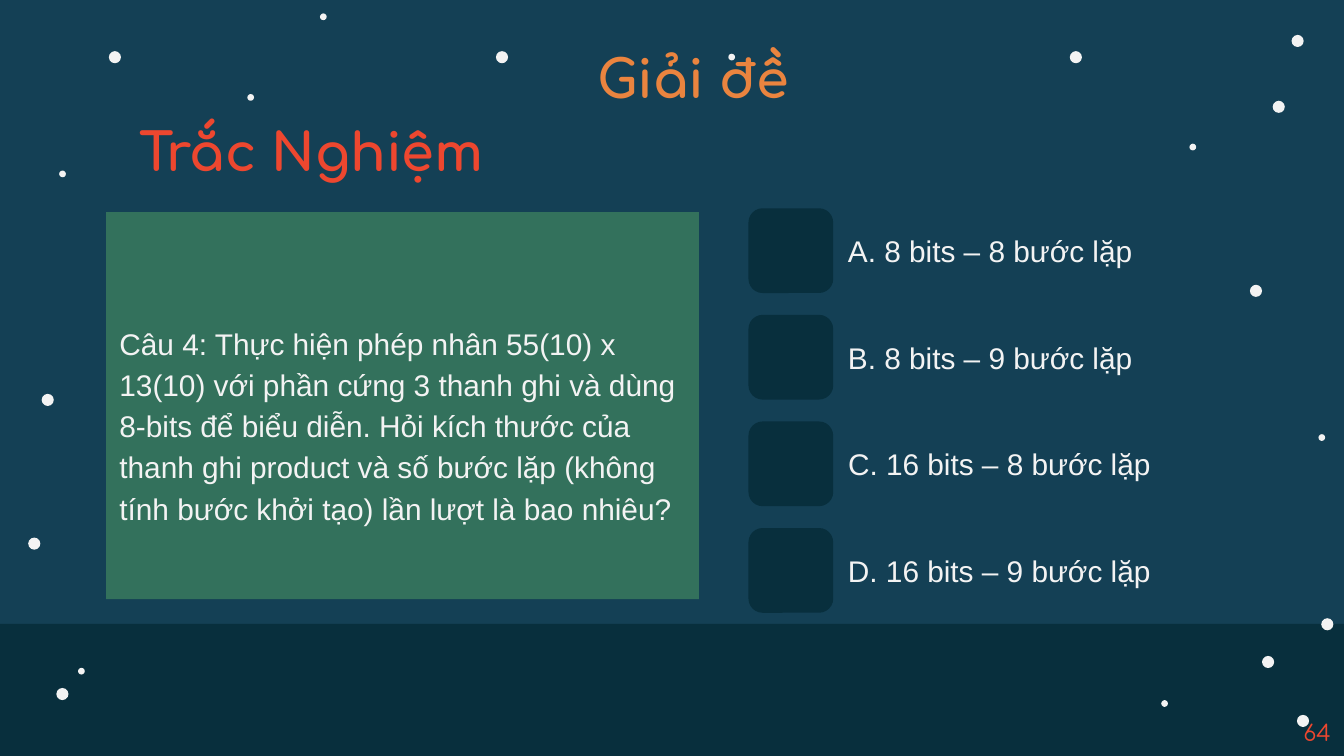
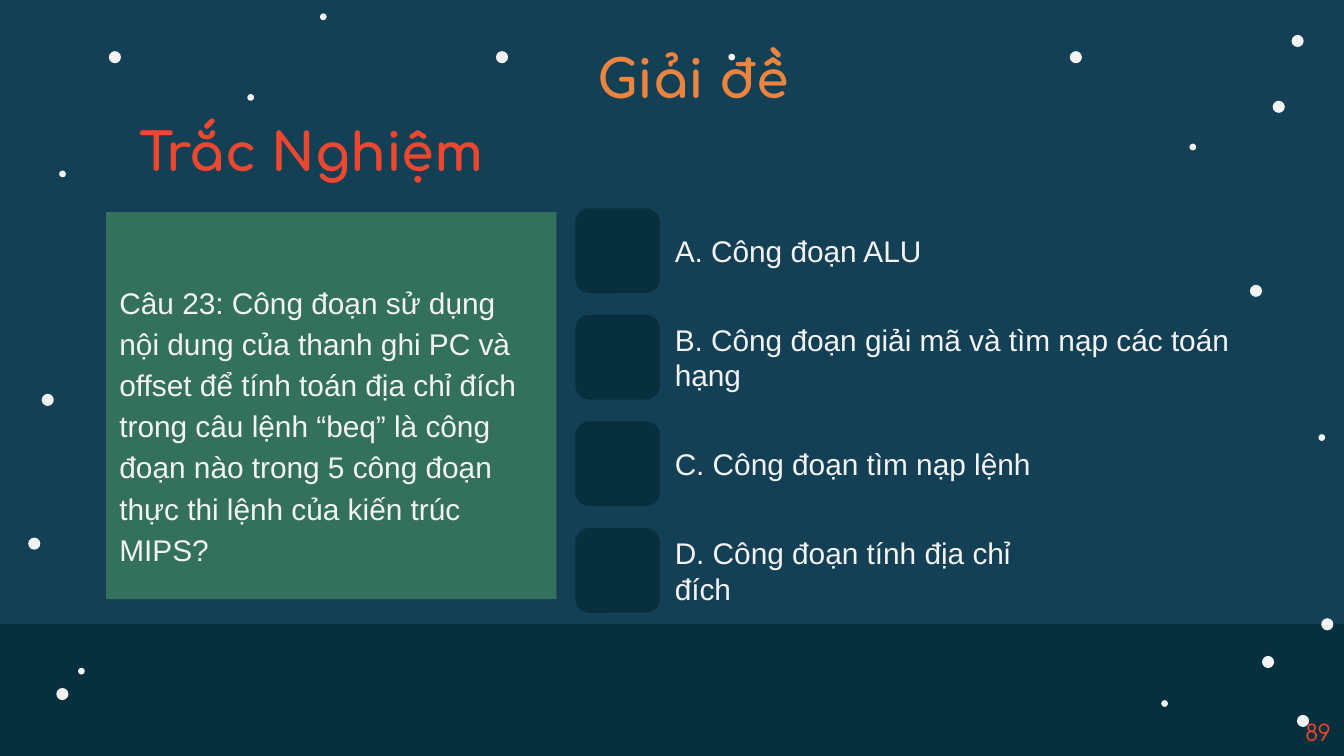
"""Build two quiz slides with a starry night background."""
from pptx import Presentation
from pptx import util as u
from pptx.dml import color
from pptx.enum import shapes, text

Pt = u.Pt
COLORS = {
    "night": "144055",
    "ground": "082F3D",
    "star": "F3F3F3",
    "board": "33715C",
    "orange": "EA843F",
    "red": "ED472F",
}
BIG_STARS = [
    (58.3, 27.4), (669.6, 152.6), (573.1, 27.4), (691.9, 18.7),
    (265.7, 27.4), (694.8, 383), (22.3, 211), (681.8, 54),
    (676.1, 351.4), (707.8, 331.2), (15.1, 288), (30.2, 368.6),
]
SMALL_STARS = [
    (31.7, 91.4), (637.2, 77), (622.1, 375.1), (41.8, 357.8),
    (390.2, 28.8), (171.4, 7.2), (132.5, 50.4), (706.3, 232.6),
]
QUIZZES = [
    {
        "number": "64",
        "question": "Câu 4: Thực hiện phép nhân 55(10) x 13(10) với phần cứng 3 thanh ghi "
                    "và dùng 8-bits để biểu diễn. Hỏi kích thước của thanh ghi product và số "
                    "bước lặp (không tính bước khởi tạo) lần lượt là bao nhiêu?",
        "question_width": 317.5,
        "tile_left": 401,
        "answers": [
            ("A. 8 bits – 8 bước lặp", 183),
            ("B. 8 bits – 9 bước lặp", 183),
            ("C. 16 bits – 8 bước lặp", 219.6),
            ("D. 16 bits – 9 bước lặp", 183),
        ],
    },
    {
        "number": "89",
        "question": "Câu 23: Công đoạn sử dụng nội dung của thanh ghi PC và offset để tính "
                    "toán địa chỉ đích trong câu lệnh “beq” là công đoạn nào trong 5 công "
                    "đoạn thực thi lệnh của kiến trúc MIPS?",
        "question_width": 241.2,
        "tile_left": 308.2,
        "answers": [
            ("A. Công đoạn ALU", 183),
            ("B. Công đoạn giải mã và tìm nạp các toán hạng", 335.5),
            ("C. Công đoạn tìm nạp lệnh", 198.7),
            ("D. Công đoạn tính địa chỉ đích", 183),
        ],
    },
]
TILE_TOP, TILE_SIZE, TILE_STEP = 111.6, 45.4, 57.1


def add_block(parent, kind, left, top, width, height, fill):
    shape = parent.shapes.add_shape(kind, Pt(left), Pt(top), Pt(width), Pt(height))
    shape.shadow.inherit = False
    shape.fill.solid()
    shape.fill.fore_color.rgb = color.RGBColor.from_string(COLORS[fill])
    shape.line.fill.background()
    return shape


def write_text(shape, content, size=16, font="Arial", fill="star", bold=False,
               align=text.PP_ALIGN.LEFT, anchor=text.MSO_ANCHOR.MIDDLE,
               insets=(0, 0, 0, 0), line_spacing=None, space_after=None):
    frame = shape.text_frame
    frame.word_wrap = True
    frame.vertical_anchor = anchor
    frame.margin_left, frame.margin_top, frame.margin_right, frame.margin_bottom = map(Pt, insets)
    paragraph = frame.paragraphs[0]
    paragraph.alignment = align
    if line_spacing:
        paragraph.line_spacing = line_spacing
    if space_after:
        paragraph.space_after = Pt(space_after)
    run = paragraph.add_run()
    run.text = content
    run.font.size = Pt(size)
    run.font.name = font
    run.font.bold = bold
    run.font.color.rgb = color.RGBColor.from_string(COLORS[fill])


presentation = Presentation()
presentation.slide_width = Pt(720)
presentation.slide_height = Pt(405)
background = presentation.slide_master.background.fill
background.solid()
background.fore_color.rgb = color.RGBColor.from_string(COLORS["night"])

for quiz in QUIZZES:
    slide = presentation.slides.add_slide(presentation.slide_layouts[6])

    add_block(slide, shapes.MSO_SHAPE.RECTANGLE, 0, 334.2, 720, 73.2, "ground")
    sky = slide.shapes.add_group_shape()
    for stars, diameter in ((BIG_STARS, 6.5), (SMALL_STARS, 3.6)):
        for left, top in stars:
            add_block(sky, shapes.MSO_SHAPE.OVAL, left, top, diameter, diameter, "star")

    title = slide.shapes.add_textbox(Pt(67.7), Pt(18.7), Pt(607), Pt(45.4))
    write_text(title, "Giải đề", size=28, font="Comfortaa", fill="orange", bold=True,
               align=text.PP_ALIGN.CENTER, insets=(7.2, 7.2, 7.2, 7.2))
    subtitle = slide.shapes.add_textbox(Pt(67.7), Pt(60.5), Pt(360), Pt(41))
    write_text(subtitle, "Trắc Nghiệm", size=28, font="Comfortaa", fill="red", bold=True,
               anchor=text.MSO_ANCHOR.TOP, insets=(7.2, 3.6, 7.2, 3.6))

    board = add_block(slide, shapes.MSO_SHAPE.RECTANGLE, 56.9, 113.6,
                      quiz["question_width"], 207.4, "board")
    write_text(board, quiz["question"], insets=(7.2, 18.7, 7.2, 0),
               line_spacing=1.15, space_after=16)

    for row, (answer, width) in enumerate(quiz["answers"]):
        top = TILE_TOP + row * TILE_STEP
        add_block(slide, shapes.MSO_SHAPE.ROUNDED_RECTANGLE, quiz["tile_left"], top,
                  TILE_SIZE, TILE_SIZE, "ground")
        label = slide.shapes.add_textbox(Pt(quiz["tile_left"] + 53.3), Pt(top + 6.8),
                                         Pt(width), Pt(31.7))
        write_text(label, answer)

    number = slide.shapes.add_textbox(Pt(558), Pt(381.6), Pt(162), Pt(21.6))
    write_text(number, quiz["number"], size=12, font="Comfortaa", fill="red",
               align=text.PP_ALIGN.RIGHT, insets=(7.2, 3.6, 7.2, 3.6))

presentation.save("out.pptx")
